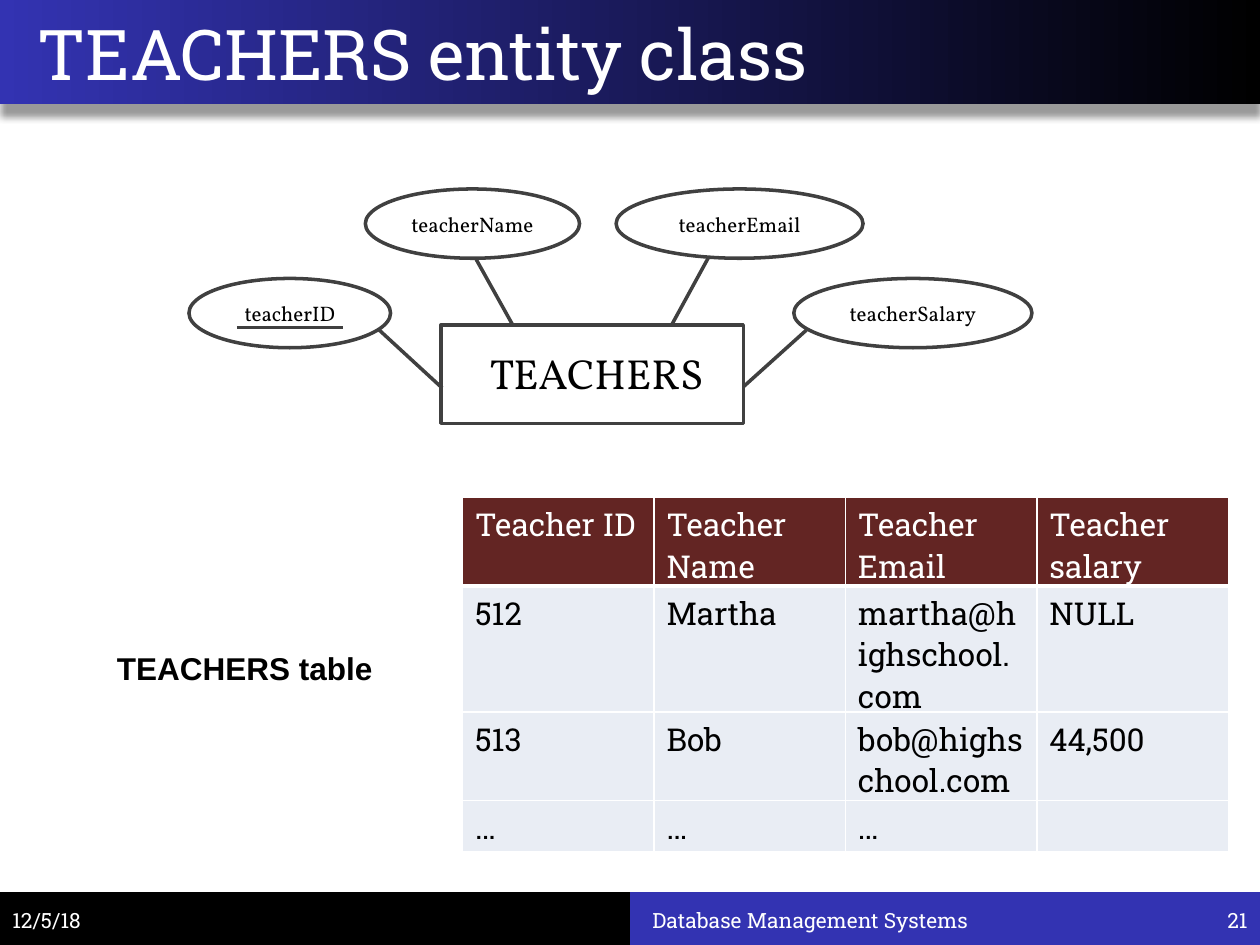
from lxml import etree
from pptx import Presentation
from pptx.dml.color import RGBColor
from pptx.enum.shapes import MSO_CONNECTOR, MSO_SHAPE
from pptx.enum.text import MSO_ANCHOR, PP_ALIGN
from pptx.oxml.ns import qn
from pptx.util import Inches, Pt

RECT, OVAL = MSO_SHAPE.RECTANGLE, MSO_SHAPE.OVAL
STRAIGHT = MSO_CONNECTOR.STRAIGHT
LEFT, CENTER, RIGHT = PP_ALIGN.LEFT, PP_ALIGN.CENTER, PP_ALIGN.RIGHT
TOP, MIDDLE = MSO_ANCHOR.TOP, MSO_ANCHOR.MIDDLE


def color(value):
    return RGBColor.from_string(value)


def write(frame, text, size=12, font="Roboto Slab", ink="000000", bold=False,
          align=LEFT, anchor=MIDDLE, inset=None, wrap=True):
    frame.word_wrap = wrap
    frame.vertical_anchor = anchor
    if inset is not None:
        frame.margin_left = frame.margin_right = Inches(inset)
        frame.margin_top = frame.margin_bottom = Inches(inset)
    paragraph = frame.paragraphs[0]
    paragraph.alignment = align
    run = paragraph.add_run()
    run.text = text
    run.font.size = Pt(size)
    run.font.name = font
    run.font.bold = bold
    run.font.color.rgb = color(ink)


def add_xml(parent, tag, **attributes):
    return etree.SubElement(parent, qn(tag), attributes)


def set_borders(cell, bottom):
    """Give the cell white edges, with the bottom one of the given width."""
    properties = cell._tc.get_or_add_tcPr()
    widths = {"a:lnL": 1, "a:lnR": 1, "a:lnT": 1, "a:lnB": bottom}
    for position, (tag, width) in enumerate(widths.items()):
        edge = add_xml(properties, tag, w=str(Pt(width)))
        add_xml(add_xml(edge, "a:solidFill"), "a:srgbClr", val="FFFFFF")
        properties.insert(position, edge)


class Deck:
    """Holds the current slide and the style of its elements."""
    OUTLINE, BLUE, BLACK, WHITE = "404040", "3333B2", "000000", "FFFFFF"
    HEADER, BODY = "632523", "E9EDF4"
    DIAGRAM_FONT = "Vollkorn"

    def __init__(self, slide):
        self.shapes = slide.shapes

    def shape(self, kind, box, fill=None, outlined=False):
        shape = self.shapes.add_shape(kind, *map(Inches, box))
        shape.shadow.inherit = False
        if fill:
            shape.fill.solid()
            shape.fill.fore_color.rgb = color(fill)
        else:
            shape.fill.background()
        if outlined:
            shape.line.color.rgb = color(self.OUTLINE)
            shape.line.width = Pt(2)
        else:
            shape.line.fill.background()
        return shape

    def banner(self, box):
        banner = self.shape(RECT, box, self.BLACK)
        banner.fill.gradient()
        banner.fill.gradient_angle = 180
        for stop, ink in zip(banner.fill.gradient_stops, (self.BLACK, self.BLUE)):
            stop.color.rgb = color(ink)
        effects = banner._element.spPr.find(qn("a:effectLst"))
        shadow = add_xml(effects, "a:outerShdw", blurRad=str(Pt(4)),
                         dist=str(Pt(7)), dir="5400000", rotWithShape="0")
        ink = add_xml(shadow, "a:srgbClr", val=self.BLACK)
        add_xml(ink, "a:alpha", val="40000")

    def text(self, box, words, **style):
        write(self.shapes.add_textbox(*map(Inches, box)).text_frame, words, **style)

    def attribute(self, name, box):
        oval = self.shape(OVAL, box, outlined=True)
        write(oval.text_frame, name, font=self.DIAGRAM_FONT, align=CENTER, inset=0)

    def line(self, *ends):
        line = self.shapes.add_connector(STRAIGHT, *map(Inches, ends))
        line.line.color.rgb = color(self.OUTLINE)
        line.line.width = Pt(2)
        add_xml(line._element.spPr, "a:effectLst")

    def table(self, left, top, width, heights, rows):
        table = self.shapes.add_table(
            len(rows), len(rows[0]), Inches(left), Inches(top),
            Inches(width), Inches(sum(heights))).table
        for r, (height, values) in enumerate(zip(heights, rows)):
            table.rows[r].height = Inches(height)
            for c, value in enumerate(values):
                cell = table.cell(r, c)
                cell.fill.solid()
                cell.fill.fore_color.rgb = color(self.BODY if r else self.HEADER)
                set_borders(cell, bottom=1 if r else 3)
                write(cell.text_frame, value, size=18,
                      ink=self.BLACK if r else self.WHITE, anchor=TOP)


def main():
    presentation = Presentation()
    presentation.slide_width, presentation.slide_height = Inches(10), Inches(7.5)
    deck = Deck(presentation.slides.add_slide(presentation.slide_layouts[6]))

    deck.shape(RECT, (5, 7.08, 5, 0.42), deck.BLUE)
    deck.shape(RECT, (0, 7.08, 5, 0.42), deck.BLACK)
    deck.banner((0, 0, 10, 0.83))
    deck.text((0.2, 0, 9.55, 0.83), "TEACHERS entity class", size=40, ink=deck.WHITE)

    deck.shape(RECT, (3.5, 2.58, 2.4, 0.78), outlined=True)
    deck.text((3.82, 2.76, 1.83, 0.4), "TEACHERS", size=24,
              font=deck.DIAGRAM_FONT, align=CENTER, inset=0, wrap=False)
    attributes = (
        ("teacherID", 1.5, 2.21, 1.6),
        ("teacherName", 2.9, 1.5, 1.7),
        ("teacherEmail", 4.89, 1.5, 1.96),
        ("teacherSalary", 6.3, 2.21, 1.89),
    )
    for name, left, top, width in attributes:
        deck.attribute(name, (left, top, width, 0.55))
    links = ((3.01, 2.62, 3.51, 3.08), (3.78, 2.06, 4.07, 2.58),
             (6.4, 2.62, 5.9, 3.07), (5.62, 2.05, 5.33, 2.58))
    key_underline = (1.88, 2.6, 2.72, 2.6)
    for ends in (*links, key_underline):
        deck.line(*ends)

    deck.text((0.83, 5.1, 3.58, 0.42), "TEACHERS table", size=18, font="Arial",
              bold=True, anchor=TOP)
    deck.table(3.67, 3.95, 6.08, (0.69, 1, 0.7, 0.41), (
        ("Teacher ID", "Teacher Name", "Teacher Email", "Teacher salary"),
        ("512", "Martha", "martha@highschool.com", "NULL"),
        ("513", "Bob", "bob@highschool.com", "44,500"),
        ("…", "…", "…", ""),
    ))

    footers = (("12/5/18", 0, 1.17, LEFT),
               ("Database Management Systems", 5.08, 3.92, LEFT),
               ("21", 9.42, 0.58, RIGHT))
    for words, left, width, align in footers:
        deck.text((left, 7.1, width, 0.4), words, ink=deck.WHITE, align=align)

    presentation.save("out.pptx")


if __name__ == "__main__":
    main()
